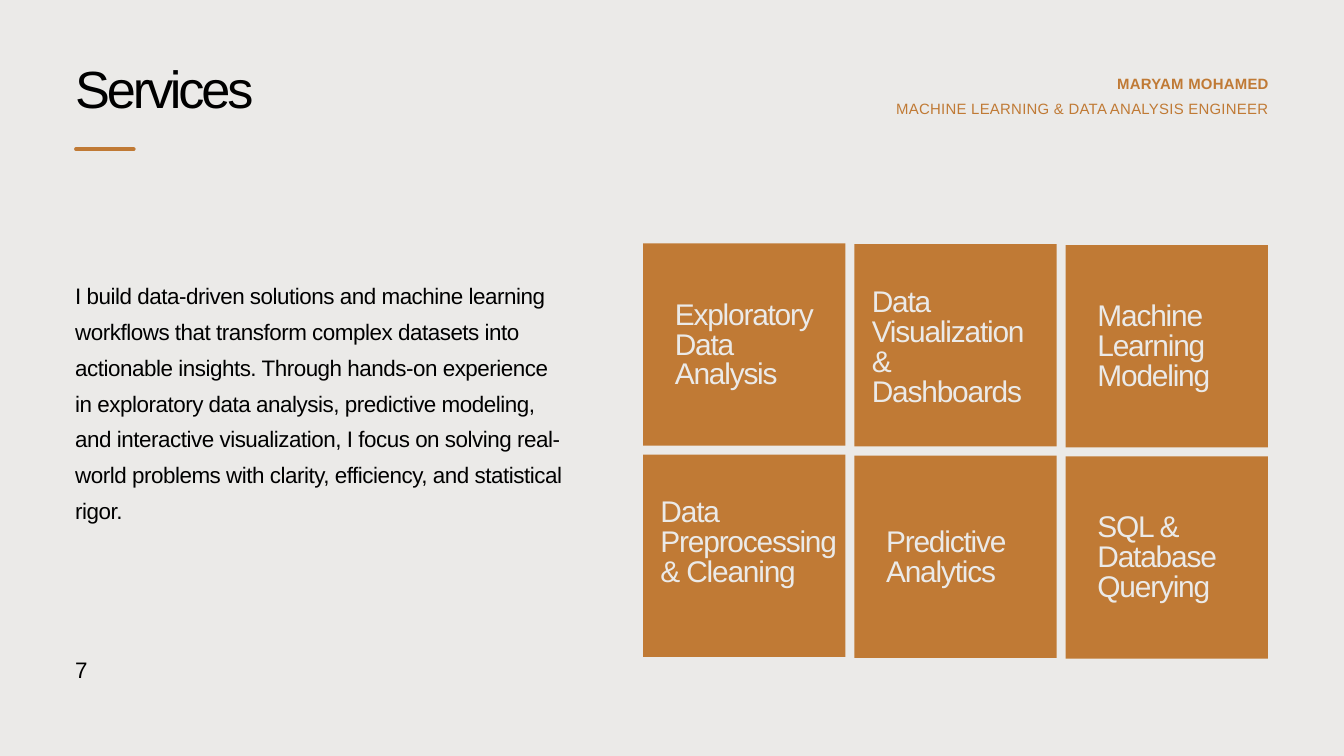
from lxml import etree
from pptx import Presentation
from pptx.dml.color import RGBColor
from pptx.enum import shapes, text
from pptx.oxml.ns import qn
from pptx.util import Pt

TITLE = "Services"
OWNER = "MARYAM MOHAMED"
ROLE = "MACHINE LEARNING & DATA ANALYSIS ENGINEER"
INTRO = (
    "I build data-driven solutions and machine learning workflows that transform "
    "complex datasets into actionable insights. Through hands-on experience in "
    "exploratory data analysis, predictive modeling, and interactive visualization, "
    "I focus on solving real-world problems with clarity, efficiency, and "
    "statistical rigor."
)
PAGE = "7"

# label lines, label left and top inside the tile, label width and height
SERVICES = [
    (["Exploratory Data Analysis"], (34, 62, 148, 96)),
    (["Data Visualization & Dashboards"], (18.7, 47.5, 164, 128)),
    (["Machine Learning Modeling"], (34, 61.5, 148, 96)),
    (["Data Preprocessing", "& Cleaning"], (18.7, 46.8, 227, 96)),
    (["Predictive Analytics"], (34, 78, 148, 64)),
    (["SQL & Database Querying"], (34, 61.5, 148, 96)),
]

THEME = {
    "font": "Arial",
    "paper": RGBColor.from_string("EBEAE8"),
    "accent": RGBColor.from_string("C07A35"),
    "ink": RGBColor.from_string("000000"),
    # size, line height, letter spacing
    "title": (56, 56, -3.4),
    "header": (16, 16, 0.3),
    "tile": (32, 32, -1.3),
    "body": (24, 38.4, -0.5),
}

LEFT, RIGHT = 80.6, 1359.4
COLUMNS = 3
GRID_LEFT, GRID_TOP = 689, 260.8
TILE, PITCH, COLUMN_DROP = 216.7, 226.4, 0.9


def write(holder, lines, style, color, bold=False, align=text.PP_ALIGN.LEFT):
    size, leading, tracking = THEME[style]
    frame = holder.text_frame
    frame.margin_left = frame.margin_right = 0
    frame.margin_top = frame.margin_bottom = 0
    frame.word_wrap = True
    frame.auto_size = text.MSO_AUTO_SIZE.NONE
    frame.vertical_anchor = text.MSO_ANCHOR.TOP
    frame.text = "\n".join(lines)
    for paragraph in frame.paragraphs:
        paragraph.alignment = align
        paragraph.line_spacing = Pt(leading)
        paragraph.space_before = Pt(0)
        for run in paragraph.runs:
            run.font.name = THEME["font"]
            run.font.size = Pt(size)
            run.font.bold = bold
            run.font.color.rgb = THEME[color]
            run._r.get_or_add_rPr().set("spc", str(round(tracking * 100)))


def add_label(slide, box, lines, style, color, **options):
    label = slide.shapes.add_textbox(*map(Pt, box))
    write(label, lines, style, color, **options)


def add_heading(slide):
    heading = slide.shapes.title
    heading.left, heading.top, heading.width, heading.height = map(
        Pt, (LEFT, 71.3, 325, 60.5))
    write(heading, [TITLE], "title", "ink")

    rule = slide.shapes.add_connector(
        shapes.MSO_CONNECTOR.STRAIGHT, *map(Pt, (81.4, 159.8, 143.3, 159.8)))
    rule.line.color.rgb = THEME["accent"]
    rule.line.width = Pt(4)
    rule.line._get_or_add_ln().set("cap", "rnd")
    etree.SubElement(rule._element.spPr, qn("a:effectLst"))


def add_service(slide, index, lines, label_box):
    row, column = divmod(index, COLUMNS)
    left = GRID_LEFT + column * PITCH
    top = GRID_TOP + row * PITCH + column * COLUMN_DROP
    tile = slide.shapes.add_shape(
        shapes.MSO_SHAPE.RECTANGLE, *map(Pt, (left, top, TILE, TILE)))
    tile.shadow.inherit = False
    tile.fill.solid()
    tile.fill.fore_color.rgb = THEME["accent"]
    tile.line.fill.background()
    dx, dy, width, height = label_box
    add_label(slide, (left + dx, top + dy, width, height), lines, "tile", "paper")


def main():
    deck = Presentation()
    deck.slide_width, deck.slide_height = Pt(1440), Pt(810)
    slide = deck.slides.add_slide(deck.slide_layouts.get_by_name("Title Only"))
    slide.background.fill.solid()
    slide.background.fill.fore_color.rgb = THEME["paper"]

    add_heading(slide)
    header_width = 425
    for line, top, bold in ((OWNER, 82.8, True), (ROLE, 110.2, False)):
        add_label(slide, (RIGHT - header_width, top, header_width, 17), [line],
                  "header", "accent", bold=bold, align=text.PP_ALIGN.RIGHT)
    for index, (lines, label_box) in enumerate(SERVICES):
        add_service(slide, index, lines, label_box)
    add_label(slide, (LEFT, 292.6, 529, 268.8), [INTRO], "body", "ink")
    add_label(slide, (LEFT, 693.4, 50, 38.4), [PAGE], "body", "ink")

    deck.save("out.pptx")


if __name__ == "__main__":
    main()
